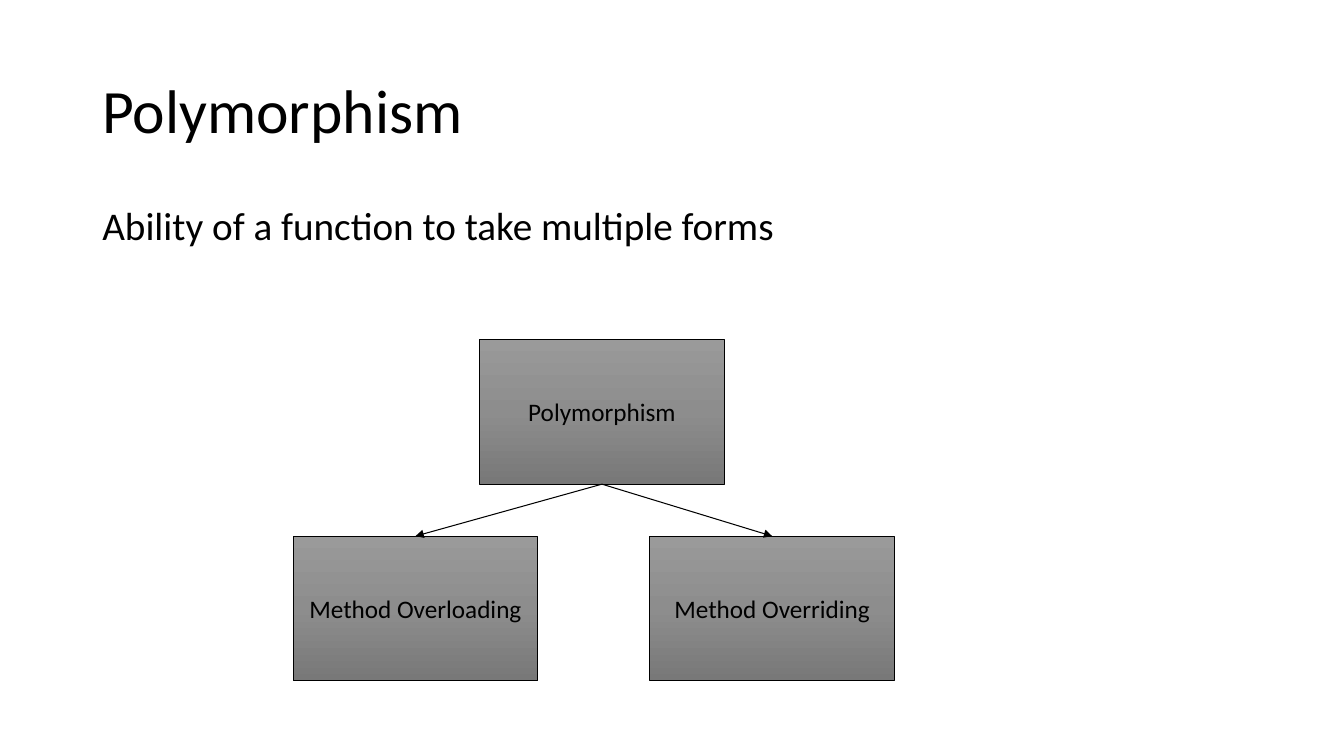
from copy import deepcopy
from dataclasses import dataclass

from lxml.etree import SubElement
from pptx import Presentation
from pptx.dml.color import RGBColor
from pptx.enum.shapes import MSO_CONNECTOR, MSO_SHAPE
from pptx.enum.text import MSO_ANCHOR, PP_ALIGN
from pptx.oxml.ns import qn
from pptx.shapes.autoshape import Shape
from pptx.slide import Slide
from pptx.util import Cm, Pt

FONT = "Calibri"
COLORS = {"ink": "000000", "top": "9A9A9A", "middle": "8D8D8D", "bottom": "787878"}
BOX_WIDTH, BOX_HEIGHT = 6.16, 3.65
TEXT_LEFT, TEXT_WIDTH = 2.33, 29.21
CHILD_TOP = 13.51


@dataclass
class TextBlock:
    text: str
    top: float
    height: float
    size: int
    anchor: MSO_ANCHOR


@dataclass
class Node:
    text: str
    left: float
    top: float


HEADINGS = [
    TextBlock("Polymorphism", 1.01, 3.68, 44, MSO_ANCHOR.MIDDLE),
    TextBlock("Ability of a function to take multiple forms", 5.08, 12.09, 28, MSO_ANCHOR.TOP),
]
PARENT = Node("Polymorphism", 12.09, 8.55)
CHILDREN = [
    Node("Method Overloading", 7.39, CHILD_TOP),
    Node("Method Overriding", 16.38, CHILD_TOP),
]


def color(name: str) -> RGBColor:
    return RGBColor.from_string(COLORS[name])


def write_text(box: Shape, text: str, size: int, anchor: MSO_ANCHOR,
               align: PP_ALIGN, spacing: float) -> None:
    frame = box.text_frame
    frame.text = text
    frame.word_wrap = True
    frame.vertical_anchor = anchor
    para = frame.paragraphs[0]
    para.alignment = align
    para.line_spacing = spacing
    span = para.runs[0]
    span.font.name = FONT
    span.font.size = Pt(size)
    span.font.color.rgb = color("ink")


def add_heading(page: Slide, block: TextBlock) -> None:
    box = page.shapes.add_textbox(Cm(TEXT_LEFT), Cm(block.top), Cm(TEXT_WIDTH), Cm(block.height))
    write_text(box, block.text, block.size, block.anchor, PP_ALIGN.LEFT, 0.9)


def fill_gradient(box: Shape) -> None:
    box.fill.gradient()
    box.fill.gradient_angle = 270
    # Add a third stop between the two default ones
    first = box._element.spPr.find(".//" + qn("a:gs"))
    first.addnext(deepcopy(first))
    stops = zip(box.fill.gradient_stops, ("top", "middle", "bottom"), (0, 0.5, 1))
    for stop, name, position in stops:
        stop.color.rgb = color(name)
        stop.position = position


def add_node(page: Slide, node: Node) -> Shape:
    box = page.shapes.add_shape(MSO_SHAPE.RECTANGLE, Cm(node.left), Cm(node.top),
                                Cm(BOX_WIDTH), Cm(BOX_HEIGHT))
    box.shadow.inherit = False
    fill_gradient(box)
    box.line.color.rgb = color("ink")
    box.line.width = Pt(0.75)
    write_text(box, node.text, 18, MSO_ANCHOR.MIDDLE, PP_ALIGN.CENTER, 1.0)
    return box


def add_arrow(page: Slide, parent: Shape, child: Shape) -> None:
    arrow = page.shapes.add_connector(MSO_CONNECTOR.STRAIGHT, 0, 0, 0, 0)
    arrow.begin_connect(parent, 2)
    arrow.end_connect(child, 0)
    arrow.line.color.rgb = color("ink")
    arrow.line.width = Pt(0.75)
    # Arrowhead at the child, no shadow
    SubElement(arrow.line._get_or_add_ln(), qn("a:tailEnd"), type="triangle")
    SubElement(arrow._element.spPr, qn("a:effectLst"))


def main() -> None:
    deck = Presentation()
    deck.slide_width, deck.slide_height = Cm(33.87), Cm(19.05)
    page = deck.slides.add_slide(deck.slide_layouts[6])

    # Title and definition
    for block in HEADINGS:
        add_heading(page, block)

    # Tree of the two kinds of polymorphism
    parent = add_node(page, PARENT)
    children = [add_node(page, node) for node in CHILDREN]
    for child in children:
        add_arrow(page, parent, child)

    deck.save("out.pptx")


if __name__ == "__main__":
    main()
